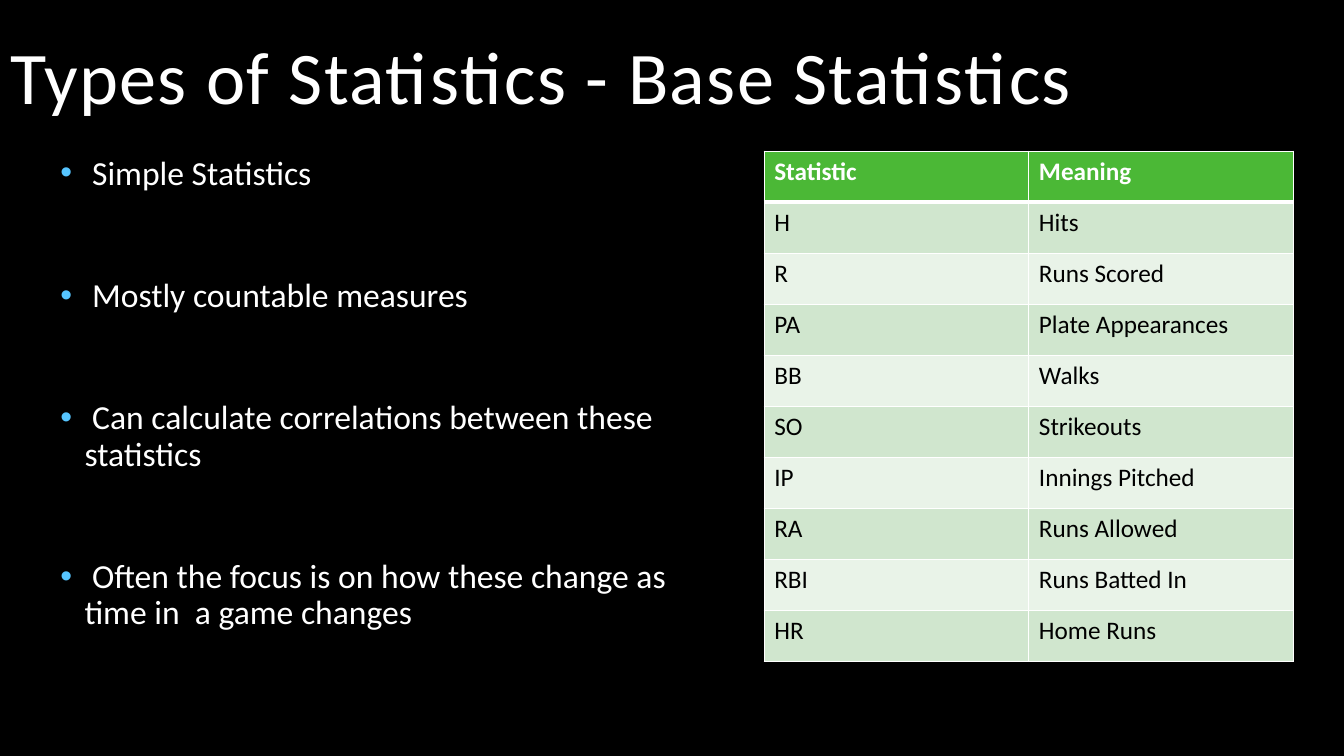
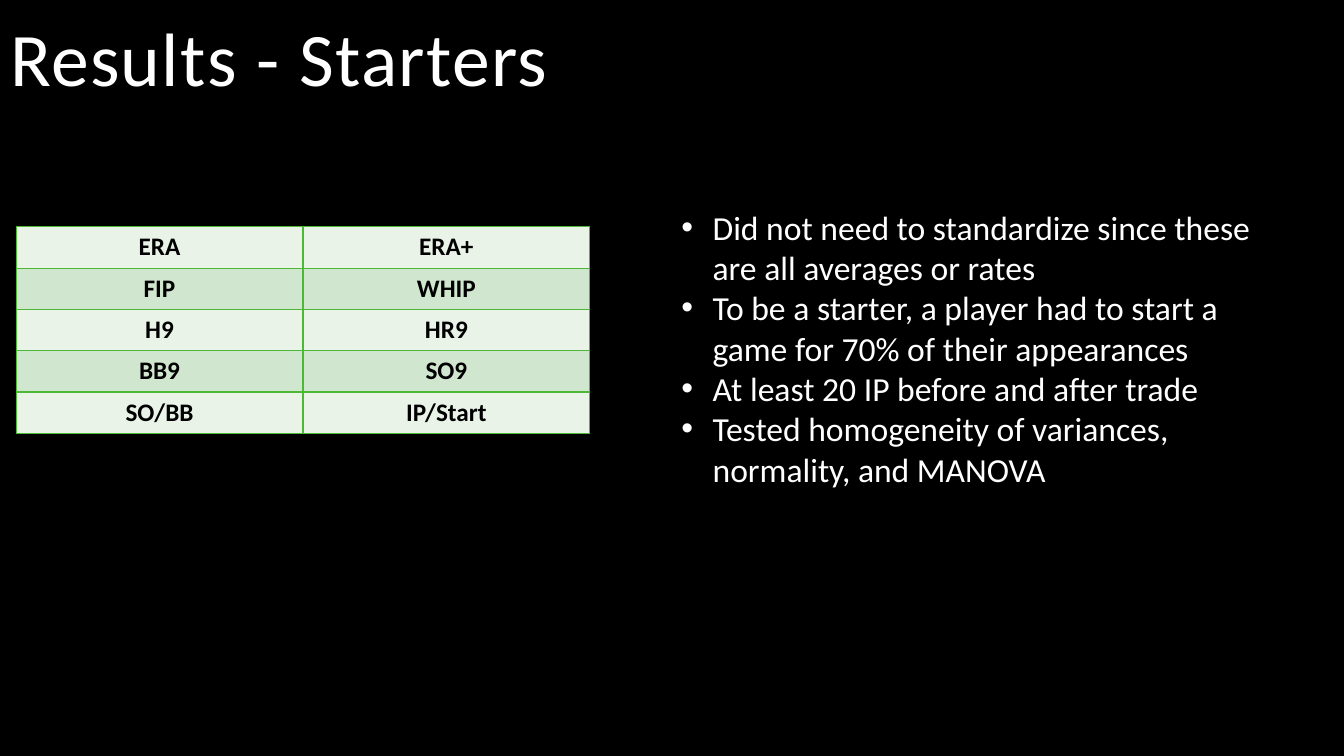
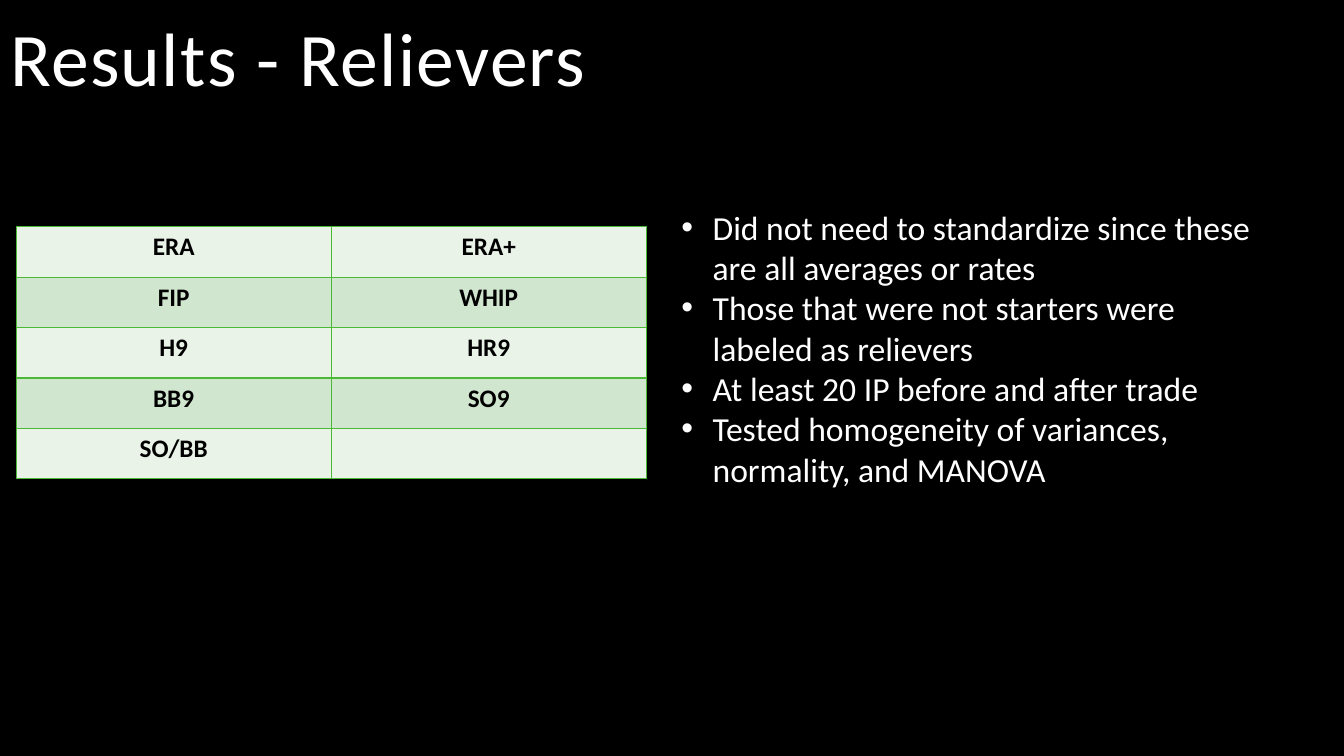
from lxml import etree
from pptx import Presentation
from pptx.dml.color import RGBColor
from pptx.enum.text import MSO_ANCHOR, MSO_AUTO_SIZE, PP_ALIGN
from pptx.oxml.ns import qn
from pptx.util import Inches, Pt

LEFT, CENTER = PP_ALIGN.LEFT, PP_ALIGN.CENTER
BOTTOM = MSO_ANCHOR.BOTTOM
NO_AUTOFIT = MSO_AUTO_SIZE.NONE

BLACK = RGBColor(0x00, 0x00, 0x00)
WHITE = RGBColor(0xFF, 0xFF, 0xFF)
GREEN = RGBColor(0x4B, 0xB8, 0x36)
MID_GREEN = RGBColor(0xD0, 0xE6, 0xCE)
PALE_GREEN = RGBColor(0xE9, 0xF3, 0xE8)
SKY = RGBColor(0x56, 0xC5, 0xFF)

FONT = "Calibri"
TITLE_ONLY = 5
BODY_SIZE, TABLE_SIZE = 24, 18

BASE_POINTS = [
    " Simple Statistics",
    " Mostly countable measures",
    " Can calculate correlations between these statistics",
    " Often the focus is on how these change as time in  a game changes",
]
BASE_STATISTICS = [
    ("Statistic", "Meaning"),
    ("H", "Hits"),
    ("R", "Runs Scored"),
    ("PA", "Plate Appearances"),
    ("BB", "Walks"),
    ("SO", "Strikeouts"),
    ("IP", "Innings Pitched"),
    ("RA", "Runs Allowed"),
    ("RBI", "Runs Batted In"),
    ("HR", "Home Runs"),
]
PITCHING_RATES = [("ERA", "ERA+"), ("FIP", "WHIP"), ("H9", "HR9"), ("BB9", "SO9")]

# Title, last table row, table width, row height, definition of the group
RESULTS = [
    ("Results - Starters", ("SO/BB", "IP/Start"), 5.69, 0.41,
     "To be a starter, a player had to start a game for 70% of their appearances"),
    ("Results - Relievers", ("SO/BB", ""), 6.25, 0.5,
     "Those that were not starters were labeled as relievers"),
]


def set_font(para, size, color, bold=False):
    font = para.font
    font.name, font.size, font.bold = FONT, Pt(size), bold
    font.color.rgb = color


def add_page(deck, title, top, width, size):
    """Add a title-only slide with its title against the left edge."""
    page = deck.slides.add_slide(deck.slide_layouts[TITLE_ONLY])
    box = page.shapes.title
    box.left, box.top = Inches(0), Inches(top)
    box.width, box.height = Inches(width), Inches(1)
    frame = box.text_frame
    frame.text = title
    frame.auto_size = NO_AUTOFIT
    frame.vertical_anchor = BOTTOM
    para = frame.paragraphs[0]
    para.alignment, para.line_spacing = LEFT, 0.9
    set_font(para, size, WHITE)
    para.font.bold = False
    para._p.get_or_add_pPr().get_or_add_defRPr().set("spc", "100")
    return page


def add_bullet(para, indent, color):
    props = para._p.get_or_add_pPr()
    props.set("marL", str(Inches(indent)))
    props.set("indent", str(-Inches(indent)))
    tint = etree.SubElement(props, qn("a:buClr"))
    etree.SubElement(tint, qn("a:srgbClr"), val=str(color))
    etree.SubElement(props, qn("a:buFont"), typeface="Arial")
    etree.SubElement(props, qn("a:buChar"), char="•")


def add_bullets(page, points, area, indent, color, line_spacing=1.0, gap=0):
    box = page.shapes.add_textbox(*map(Inches, area))
    frame = box.text_frame
    frame.word_wrap = True
    for index, point in enumerate(points):
        para = frame.paragraphs[0] if index == 0 else frame.add_paragraph()
        para.text = point
        para.line_spacing = line_spacing
        if index:
            para.space_before = Pt(gap)
        add_bullet(para, indent, color)
        set_font(para, BODY_SIZE, WHITE)


def set_borders(cell, color, top=1, bottom=1):
    props = cell._tc.get_or_add_tcPr()
    sides = [("L", 1), ("R", 1), ("T", top), ("B", bottom)]
    for position, (side, width) in enumerate(sides):
        line = etree.Element(qn(f"a:ln{side}"), w=str(Pt(width)))
        fill = etree.SubElement(line, qn("a:solidFill"))
        etree.SubElement(fill, qn("a:srgbClr"), val=str(color))
        props.insert(position, line)


def add_grid(page, rows, left, top, width, row_height, line, header=False,
             align=LEFT, bold=False):
    """Add a banded table; a header row gets a heavy line below it."""
    columns = len(rows[0])
    table = page.shapes.add_table(
        len(rows), columns, Inches(left), Inches(top),
        Inches(width), Inches(row_height * len(rows))).table
    table.first_row = table.horz_banding = False
    for column in table.columns:
        column.width = Inches(width / columns)
    for r, texts in enumerate(rows):
        table.rows[r].height = Inches(row_height)
        is_header = header and r == 0
        band = GREEN if is_header else MID_GREEN if r % 2 else PALE_GREEN
        for c, text in enumerate(texts):
            cell = table.cell(r, c)
            cell.text = text
            cell.fill.solid()
            cell.fill.fore_color.rgb = band
            set_borders(cell, line, top=3 if header and r == 1 else 1,
                        bottom=3 if is_header else 1)
            para = cell.text_frame.paragraphs[0]
            para.alignment = align
            set_font(para, TABLE_SIZE, WHITE if is_header else BLACK,
                     bold or is_header)


def add_base_page(deck):
    page = add_page(deck, "Types of Statistics - Base Statistics", 0.25, 11.25, 53)
    add_bullets(page, BASE_POINTS, (0.5, 1.5, 6.83, 5.58), 0.24, SKY,
                line_spacing=0.9, gap=61.5)
    add_grid(page, BASE_STATISTICS, 7.58, 1.5, 5.25, 0.506, WHITE, header=True)


def add_results_page(deck, title, last_row, width, row_height, definition):
    page = add_page(deck, title, 0.07, 10, 54)
    add_grid(page, PITCHING_RATES + [last_row], 0.16, 2.25, width, row_height,
             GREEN, align=CENTER, bold=True)
    points = [
        "Did not need to standardize since these are all averages or rates",
        definition,
        "At least 20 IP before and after trade",
        "Tested homogeneity of variances, normality, and MANOVA",
    ]
    add_bullets(page, points, (6.66, 2, 6.08, 3.53), 0.31, WHITE)


def main():
    deck = Presentation()
    deck.slide_width, deck.slide_height = Inches(13.33), Inches(7.5)
    backdrop = deck.slide_master.background.fill
    backdrop.solid()
    backdrop.fore_color.rgb = BLACK
    add_base_page(deck)
    for result in RESULTS:
        add_results_page(deck, *result)
    deck.save("out.pptx")


if __name__ == "__main__":
    main()
